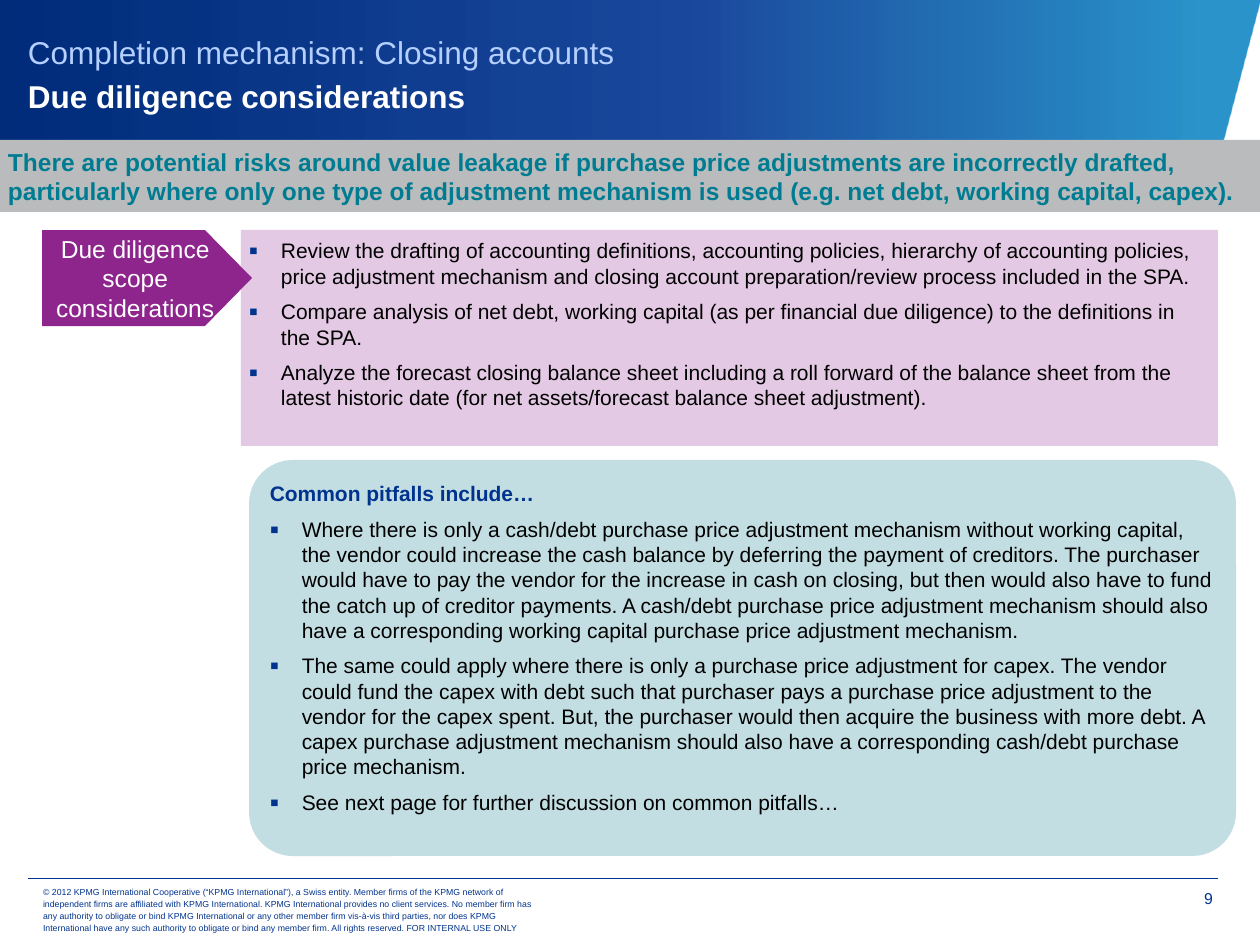
from lxml import etree
from pptx import Presentation
from pptx import util as u
from pptx.dml.color import RGBColor
from pptx.enum import shapes, text
from pptx.oxml import parse_xml
from pptx.oxml.ns import qn

PX = 914400 / 126
NAVY = RGBColor(0x00, 0x33, 0x8D)
PALE = RGBColor(0xB5, 0xD0, 0xFF)
WHITE = RGBColor(0xFF, 0xFF, 0xFF)
BLACK = RGBColor(0x00, 0x00, 0x00)
GREY = RGBColor(0xBA, 0xBB, 0xBC)
TEAL = RGBColor(0x00, 0x7C, 0x92)
MIST = RGBColor(0xC3, 0xDE, 0xE2)
PLUM = RGBColor(0x8E, 0x25, 0x8D)
LILAC = RGBColor(0xE3, 0xC9, 0xE3)
SKY = RGBColor(0x00, 0x80, 0xC0)
ROYAL = RGBColor(0x00, 0x34, 0x92)
DEEP = RGBColor(0x00, 0x2C, 0x7A)
STOPS = [(4, SKY, 83), (44, ROYAL, 89), (100, DEEP, 100)]

SCOPE = [
    "Review the drafting of accounting definitions, accounting policies, hierarchy of accounting policies, price adjustment mechanism and closing account preparation/review process included in the SPA.",
    "Compare analysis of net debt, working capital (as per financial due diligence) to the definitions in the SPA.",
    "Analyze the forecast closing balance sheet including a roll forward of the balance sheet from the latest historic date (for net assets/forecast balance sheet adjustment).",
]
PITFALLS = [
    "Where there is only a cash/debt purchase price adjustment mechanism without working capital, the vendor could increase the cash balance by deferring the payment of creditors. The purchaser would have to pay the vendor for the increase in cash on closing, but then would also have to fund the catch up of creditor payments. A cash/debt purchase price adjustment mechanism should also have a corresponding working capital purchase price adjustment mechanism.",
    "The same could apply where there is only a purchase price adjustment for capex. The vendor could fund the capex with debt such that purchaser pays a purchase price adjustment to the vendor for the capex spent. But, the purchaser would then acquire the business with more debt. A capex purchase adjustment mechanism should also have a corresponding cash/debt purchase price mechanism.",
    "See next page for further discussion on common pitfalls…",
]
LEGAL = "© 2012 KPMG International Cooperative (“KPMG International”), a Swiss entity. Member firms of the KPMG network of independent firms are affiliated with KPMG International. KPMG International provides no client services. No member firm has any authority to obligate or bind KPMG International or any other member firm vis-à-vis third parties, nor does KPMG International have any such authority to obligate or bind any member firm. All rights reserved. FOR INTERNAL USE ONLY"


def px(n):
    return u.Emu(round(n * PX))


def place(box):
    return [px(n) for n in box]


def style(run, size, color, bold=False):
    run.font.name = "Arial"
    run.font.size = u.Pt(size)
    run.font.color.rgb = color
    run.font.bold = bold


def setup(frame, pads, anchor=text.MSO_ANCHOR.TOP):
    frame.word_wrap = True
    frame.auto_size = text.MSO_AUTO_SIZE.NONE
    frame.vertical_anchor = anchor
    (frame.margin_left, frame.margin_top,
     frame.margin_right, frame.margin_bottom) = place(pads)


def write(frame, words, size, color, bold=False, align=text.PP_ALIGN.LEFT):
    frame.text = words
    para = frame.paragraphs[0]
    para.alignment = align
    style(para.runs[0], size, color, bold)
    return para


def panel(slide, kind, box, color, anchor=text.MSO_ANCHOR.TOP):
    shape = slide.shapes.add_shape(kind, *place(box))
    shape.shadow.inherit = False
    shape.fill.solid()
    shape.fill.fore_color.rgb = color
    shape.line.fill.background()
    setup(shape.text_frame, (8, 8, 8, 8), anchor)
    return shape


def bullet(para):
    props = para._p.get_or_add_pPr()
    props.set("marL", str(px(32)))
    props.set("indent", str(-px(32)))
    tint = etree.SubElement(props, qn("a:buClr"))
    etree.SubElement(tint, qn("a:srgbClr")).set("val", str(NAVY))
    etree.SubElement(props, qn("a:buSzPct")).set("val", "125000")
    etree.SubElement(props, qn("a:buFont")).set("typeface", "Arial")
    etree.SubElement(props, qn("a:buChar")).set("char", "▪")


def listing(frame, items, head=None):
    lines = ([head] if head else []) + items
    frame.text = "\n".join(lines)
    for i, para in enumerate(frame.paragraphs):
        titled = head is not None and i == 0
        if not titled:
            bullet(para)
        para.alignment = text.PP_ALIGN.LEFT
        para.space_before = u.Pt(3 if i else 0)
        para.space_after = u.Pt(3)
        style(para.runs[0], 12, NAVY if titled else BLACK, titled)


def header(slide, box):
    left, top, wide, high = box
    pen = slide.shapes.build_freeform(left, top + high, scale=PX)
    pen.add_line_segments([(left + wide - 38, top + high),
                           (left + wide, top), (left, top)])
    band = pen.convert_to_shape()
    band.shadow.inherit = False
    band.line.fill.background()
    band.fill.gradient()
    band.fill.gradient_angle = 180
    stops = band.element.spPr.find(qn("a:gradFill")).find(qn("a:gsLst"))
    for old in list(stops):
        stops.remove(old)
    for spot, color, alpha in STOPS:
        stop = etree.SubElement(stops, qn("a:gs"))
        stop.set("pos", str(spot * 1000))
        tint = etree.SubElement(stop, qn("a:srgbClr"))
        tint.set("val", str(color))
        etree.SubElement(tint, qn("a:alpha")).set("val", str(alpha * 1000))

    title = slide.shapes.title
    title.left, title.top, title.width, title.height = place(
        (left + 28, top + 16, wide - 82, 110))
    slide.shapes.element.append(title.element)
    frame = title.text_frame
    setup(frame, (0, 0, 0, 0), text.MSO_ANCHOR.MIDDLE)
    frame.text = "Completion mechanism: Closing accounts\vDue diligence considerations"
    para = frame.paragraphs[0]
    para.alignment = text.PP_ALIGN.LEFT
    para.line_spacing = u.Pt(25)
    style(para.runs[0], 18, PALE)
    style(para.runs[1], 18, WHITE, True)


def banner(slide, box):
    bar = panel(slide, shapes.MSO_SHAPE.RECTANGLE, box, GREY, text.MSO_ANCHOR.MIDDLE)
    write(bar.text_frame, "There are potential risks around value leakage if purchase price adjustments are incorrectly drafted, particularly where only one type of adjustment mechanism is used (e.g. net debt, working capital, capex).", 14, TEAL, True)


def scope(slide, box):
    left, top, wide, high = box
    body = panel(slide, shapes.MSO_SHAPE.RECTANGLE,
                 (left + 199, top, wide - 199, high), LILAC)
    listing(body.text_frame, SCOPE)
    tag = panel(slide, shapes.MSO_SHAPE.PENTAGON, (left, top, 210, 96),
                PLUM, text.MSO_ANCHOR.MIDDLE)
    tag.adjustments[0] = 0.49
    write(tag.text_frame, "Due diligence scope considerations", 14, WHITE,
          align=text.PP_ALIGN.CENTER)


def pitfalls(slide, box):
    card = panel(slide, shapes.MSO_SHAPE.ROUNDED_RECTANGLE, box, MIST)
    card.adjustments[0] = 0.11
    listing(card.text_frame, PITFALLS, "Common pitfalls include…")


def footer(slide, box):
    left, top, wide, high = box
    rule = slide.shapes.add_connector(
        shapes.MSO_CONNECTOR.STRAIGHT, *place((left, top, left + wide, top)))
    rule.line.color.rgb = NAVY
    rule.line.width = u.Pt(0.25)
    etree.SubElement(rule.element.spPr, qn("a:effectLst"))

    legal = slide.shapes.add_textbox(*place((left + 2, top + 9, 523, 44))).text_frame
    setup(legal, (13, 6, 13, 6), text.MSO_ANCHOR.MIDDLE)
    write(legal, LEGAL, 5, NAVY).line_spacing = u.Pt(7)

    page = slide.shapes.add_textbox(
        *place((left + wide - 74, top + 1, 69, 39))).text_frame
    setup(page, (10, 10, 0, 0))
    write(page, "9", 9, NAVY, align=text.PP_ALIGN.RIGHT)


def main():
    deck = Presentation()
    deck.slide_width, deck.slide_height = place((1260, 945))
    slide = deck.slides.add_slide(deck.slide_layouts[5])
    header(slide, (0, 0, 1260, 142))
    banner(slide, (0, 140, 1260, 72))
    scope(slide, (42, 230, 1176, 216))
    pitfalls(slide, (249, 460, 987, 396))
    footer(slide, (28, 878, 1190, 54))
    deck.save("out.pptx")


if __name__ == "__main__":
    main()
